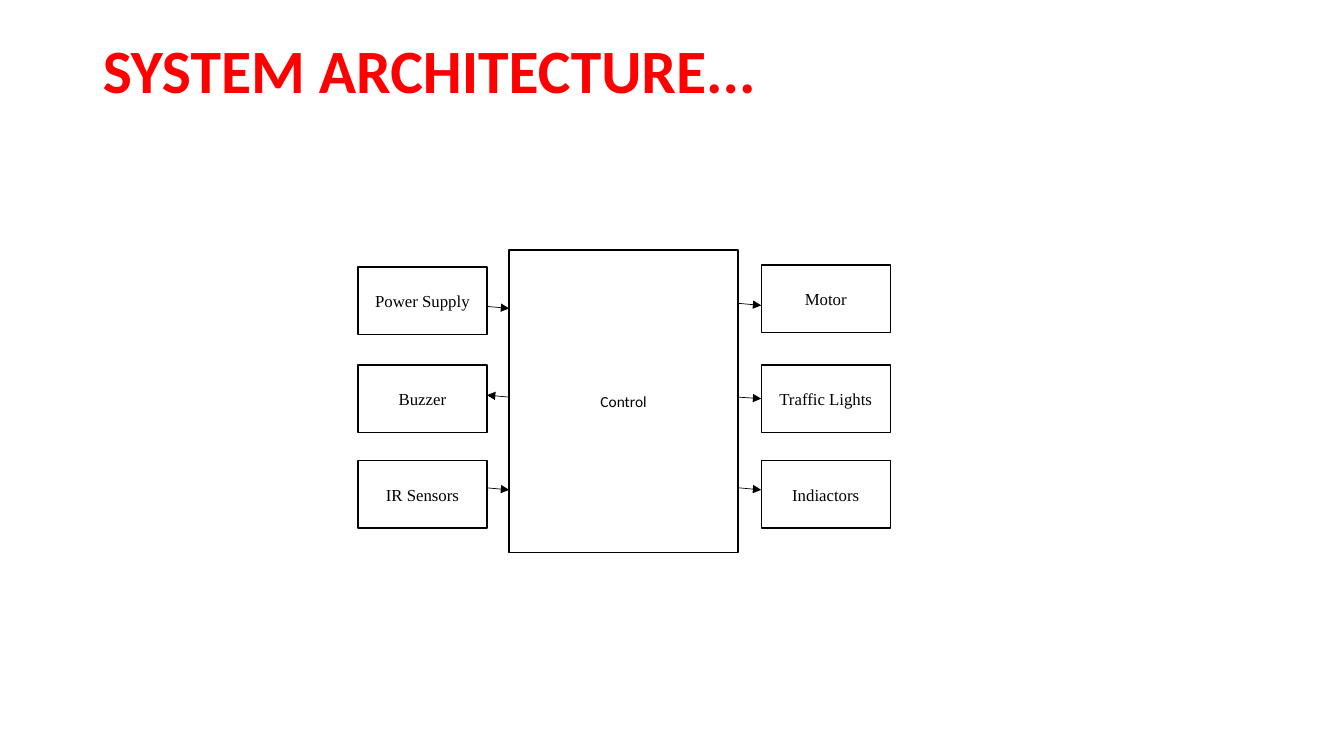
from dataclasses import dataclass

from lxml import etree
from pptx import Presentation
from pptx import util as u
from pptx.dml.color import RGBColor
from pptx.enum import shapes, text
from pptx.oxml.ns import qn

BLACK, WHITE, RED = "000000", "FFFFFF", "FF0000"
SERIF, SANS = "Times New Roman", "Calibri"


@dataclass
class Box:
    label: str
    left: float
    top: float
    width: float = 1.28
    height: float = 0.67
    font: str = SERIF
    size: float = 12


@dataclass
class Arrow:
    start: tuple[float, float]
    end: tuple[float, float]
    goal: str = ""  # box whose left side the arrow joins


LEFT, RIGHT = 3.55, 7.55
BOXES = [
    Box("Control", 5.05, 2.48, 2.27, 3, SANS, 11),
    Box("Motor", RIGHT, 2.63),
    Box("Traffic Lights", RIGHT, 3.62),
    Box("Power Supply", LEFT, 2.65),
    Box("Buzzer", LEFT, 3.62),
    Box("IR Sensors", LEFT, 4.57),
    Box("Indiactors", RIGHT, 4.57),
]
ARROWS = [
    Arrow((4.83, 3.04), (5.05, 3.06)),
    Arrow((5.05, 3.94), (4.83, 3.92)),
    Arrow((4.83, 4.84), (5.05, 4.86)),
    Arrow((7.33, 3.01), (7.55, 3.03)),
    Arrow((7.32, 3.94), (7.55, 3.96), "Traffic Lights"),
    Arrow((7.33, 4.84), (7.55, 4.86)),
]


def color(value: str) -> RGBColor:
    return RGBColor.from_string(value)


def write(shape, words: str, *, size: float, font: str, ink: str = BLACK,
          bold: bool = False, align=text.PP_ALIGN.CENTER, space: float = 1.0) -> None:
    frame = shape.text_frame
    frame.word_wrap = True
    frame.vertical_anchor = text.MSO_ANCHOR.MIDDLE
    para = frame.paragraphs[0]
    para.alignment, para.line_spacing = align, space
    run = para.add_run()
    run.text = words
    run.font.size, run.font.name, run.font.bold = u.Pt(size), font, bold
    run.font.color.rgb = color(ink)


def draw_box(slide, box: Box):
    shape = slide.shapes.add_shape(
        shapes.MSO_SHAPE.RECTANGLE, u.Inches(box.left), u.Inches(box.top),
        u.Inches(box.width), u.Inches(box.height))
    shape.shadow.inherit = False
    shape.fill.solid()
    shape.fill.fore_color.rgb = color(WHITE)
    shape.line.color.rgb = color(BLACK)
    shape.line.width = u.Pt(1)
    write(shape, box.label, size=box.size, font=box.font)
    return shape


def draw_arrow(slide, arrow: Arrow, drawn: dict) -> None:
    ends = [u.Inches(v) for v in (*arrow.start, *arrow.end)]
    line = slide.shapes.add_connector(shapes.MSO_CONNECTOR.STRAIGHT, *ends)
    if arrow.goal:
        line.end_connect(drawn[arrow.goal], 1)
    line.line.color.rgb = color(BLACK)
    line.line.width = u.Pt(0.5)
    tip = etree.SubElement(line.line._get_or_add_ln(), qn("a:tailEnd"))
    tip.set("type", "triangle")
    etree.SubElement(line._element.spPr, qn("a:effectLst"))


def main() -> None:
    deck = Presentation()
    deck.slide_width, deck.slide_height = u.Inches(13.33), u.Inches(7.5)
    slide = deck.slides.add_slide(deck.slide_layouts[5])

    # Title
    title = slide.shapes.title
    title.left, title.top = u.Inches(0.92), u.Inches(0)
    title.width, title.height = u.Inches(11.5), u.Inches(1.45)
    write(title, "SYSTEM ARCHITECTURE...", size=44, font=SANS, ink=RED,
          bold=True, align=text.PP_ALIGN.LEFT, space=0.9)

    # Block diagram
    drawn = {box.label: draw_box(slide, box) for box in BOXES}
    for arrow in ARROWS:
        draw_arrow(slide, arrow, drawn)

    deck.save("out.pptx")


if __name__ == "__main__":
    main()
